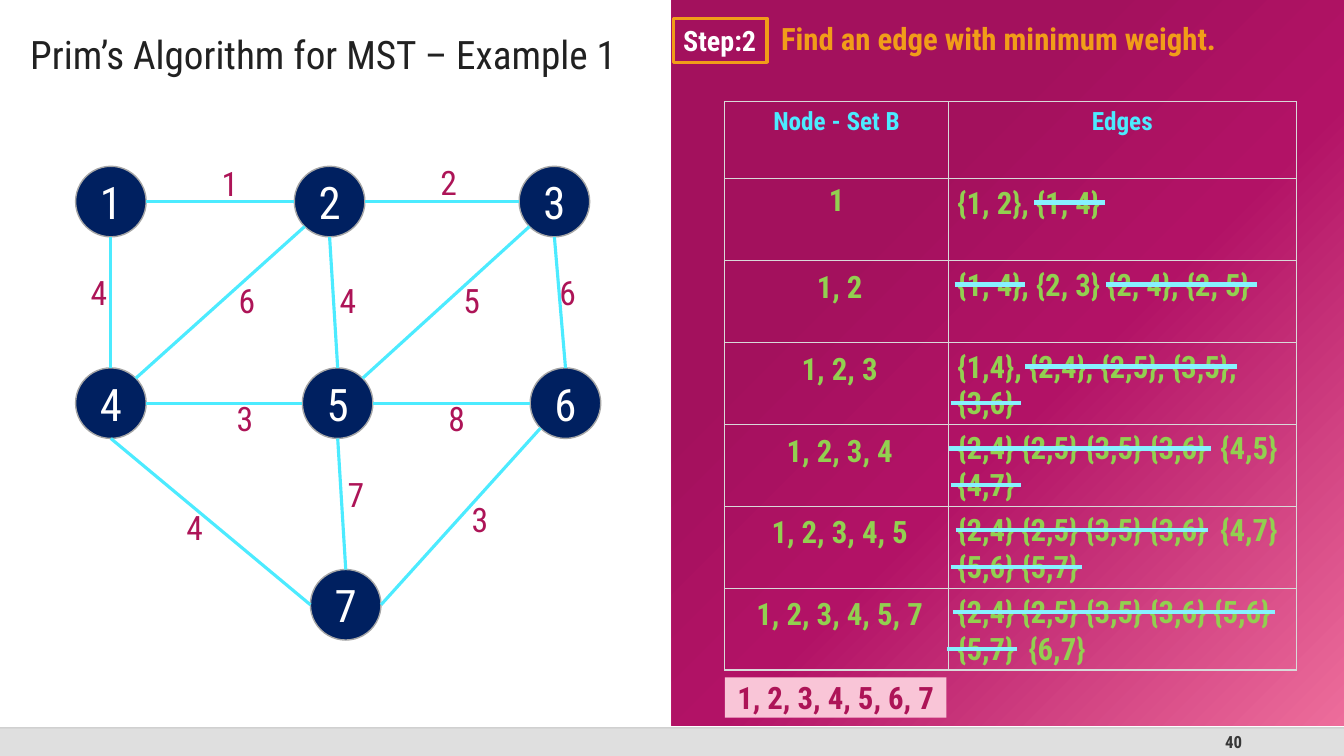
from dataclasses import dataclass
from math import cos, radians, sin

from lxml import etree
from pptx import Presentation
from pptx import util as u
from pptx.dml.color import RGBColor
from pptx.enum import shapes, text
from pptx.oxml import parse_xml
from pptx.oxml.ns import qn

# Slide grid: columns and rows of equal size
COLS, ROWS = 133.33, 75
FONT = "Roboto Condensed"
NS = 'xmlns:a="http://schemas.openxmlformats.org/drawingml/2006/main"'
CYAN, GREEN, CRIMSON, ORANGE = "4CEBFF", "92D050", "AD1457", "F19D19"
LEFT, CENTER, RIGHT = text.PP_ALIGN.LEFT, text.PP_ALIGN.CENTER, text.PP_ALIGN.RIGHT
TOP, MIDDLE = text.MSO_ANCHOR.TOP, text.MSO_ANCHOR.MIDDLE
RECT = shapes.MSO_SHAPE.RECTANGLE

prs = Presentation()
prs.slide_width, prs.slide_height = u.Inches(13.33), u.Inches(7.5)
slide = prs.slides.add_slide(prs.slide_layouts[6])


@dataclass
class Node:
    col: float
    row: float


@dataclass
class Edge:
    start: int
    start_angle: float
    end: int
    end_angle: float
    weight: int
    label_col: float
    label_row: float


@dataclass
class Strike:
    line: int
    col: float
    length: float


@dataclass
class Step:
    nodes: str
    edges: str
    strikes: list[Strike]
    width: float = 34


def col(n: float) -> int:
    return int(prs.slide_width * n / COLS)


def row(n: float) -> int:
    return int(prs.slide_height * n / ROWS)


def color(hex_value: str) -> RGBColor:
    return RGBColor.from_string(hex_value)


def write(tf, words: str, *, size: float, rgb: str, bold: bool = False,
          align=LEFT, anchor=TOP, wrap: bool = True, grow: bool = False,
          spacing: float | None = None) -> None:
    tf.word_wrap = wrap
    tf.vertical_anchor = anchor
    if grow:
        tf.auto_size = text.MSO_AUTO_SIZE.SHAPE_TO_FIT_TEXT
    p = tf.paragraphs[0]
    p.alignment, p.line_spacing = align, spacing
    r = p.add_run()
    r.text = words
    r.font.name, r.font.size, r.font.bold = FONT, u.Pt(size), bold
    r.font.color.rgb = color(rgb)


def add_text(x: float, y: float, w: float, h: float, words: str, **fmt):
    sp = slide.shapes.add_textbox(col(x), row(y), col(w), row(h))
    write(sp.text_frame, words, **fmt)
    return sp


def add_box(kind, x: float, y: float, w: float, h: float, fill: str | None = None,
            line: str | None = None, weight: float = 1):
    sp = slide.shapes.add_shape(kind, col(x), row(y), col(w), row(h))
    sp.shadow.inherit = False
    if fill:
        sp.fill.solid()
        sp.fill.fore_color.rgb = color(fill)
    else:
        sp.fill.background()
    if line:
        sp.line.color.rgb = color(line)
        sp.line.width = u.Pt(weight)
    else:
        sp.line.fill.background()
    return sp


def add_line(x1: float, y1: float, x2: float, y2: float, rgb: str, weight: float):
    ln = slide.shapes.add_connector(shapes.MSO_CONNECTOR.STRAIGHT,
                                    col(x1), row(y1), col(x2), row(y2))
    ln.line.color.rgb = color(rgb)
    ln.line.width = u.Pt(weight)
    etree.SubElement(ln._element.spPr, qn("a:effectLst"))
    return ln


def add_borders(cell, rgb: str, weight: float) -> None:
    tc_pr = cell._tc.get_or_add_tcPr()
    for i, side in enumerate(("lnL", "lnR", "lnT", "lnB")):
        tc_pr.insert(i, parse_xml(
            f'<a:{side} {NS} w="{u.Pt(weight)}"><a:solidFill><a:srgbClr val="{rgb}"/>'
            f'</a:solidFill></a:{side}>'))


# Footer bar
bar = add_box(shapes.MSO_SHAPE.ROUNDED_RECTANGLE, 0, 72.2, COLS, 2.8, "DFDFDF")
bar.adjustments[0] = 0
add_text(94.2, 72.2, 30, 2.8, "40", size=12, rgb="373737", bold=True,
         align=RIGHT, anchor=MIDDLE)
rule = add_line(0, 72.2, COLS, 72.2, "BFBFBF", 1)
rule_color = rule._element.spPr.find(".//" + qn("a:srgbClr"))
etree.SubElement(rule_color, qn("a:alpha")).set("val", "70000")

# Right panel with radial gradient
panel = add_box(RECT, COLS / 2, 0, COLS / 2, 72)
stops = "".join(f'<a:gs pos="{pos}000"><a:srgbClr val="{rgb}"/></a:gs>'
                for pos, rgb in ((30, "A3115D"), (55, "B21266"), (100, "ED6D9B")))
sp_pr = panel._element.spPr
sp_pr.replace(sp_pr.find(qn("a:noFill")), parse_xml(
    f'<a:gradFill {NS} rotWithShape="1"><a:gsLst>{stops}</a:gsLst><a:path path="circle">'
    '<a:fillToRect r="100000" b="100000"/></a:path></a:gradFill>'))

# Titles
title = add_text(0, 0.1, 68, 8.1, "Prim’s Algorithm for MST – Example 1", size=28,
                 rgb="212121", anchor=MIDDLE, spacing=1.5)
title.text_frame.margin_left = col(3)
step_box = add_box(RECT, 66.8, 1.8, 9.3, 4.4, line=ORANGE, weight=2.25)
write(step_box.text_frame, "Step:2", size=20, rgb="FFFFFF", bold=True, wrap=False,
      grow=True)
add_text(76.5, 1.5, 56, 4.7, "Find an edge with minimum weight.", size=22, rgb=ORANGE,
         bold=True, align=text.PP_ALIGN.JUSTIFY, grow=True)

# Graph: node centres, and edges leaving nodes at clockwise angles from the right
RADIUS = 3.5
E, SE, S, SW, W, N, NE = 0, 45, 90, 135, 180, 270, 315
NODES = {1: Node(11, 20), 2: Node(32.7, 20), 3: Node(55, 20), 4: Node(11, 40),
         5: Node(33.5, 40), 6: Node(56.1, 40), 7: Node(34.3, 60)}
EDGES = [
    Edge(1, E, 2, W, 1, 21, 15.7), Edge(2, E, 3, W, 2, 42.7, 15.6),
    Edge(4, E, 5, W, 3, 22.5, 39), Edge(5, E, 6, W, 8, 43.5, 39),
    Edge(1, S, 4, N, 4, 8, 26.5), Edge(2, S, 5, N, 4, 32.7, 27.3),
    Edge(3, S, 6, N, 6, 54.5, 26.5), Edge(4, NE, 2, SW, 6, 22.7, 27.3),
    Edge(5, NE, 3, SW, 5, 45, 27.3), Edge(6, SW, 7, E, 3, 45.8, 49),
    Edge(4, S, 7, W, 4, 17.5, 49.8), Edge(5, S, 7, N, 7, 33.5, 46.5),
]


def rim(number: int, angle: float) -> tuple[float, float]:
    node, a = NODES[number], radians(angle)
    return node.col + RADIUS * cos(a), node.row + RADIUS * sin(a)


for number, node in NODES.items():
    sp = add_box(shapes.MSO_SHAPE.OVAL, node.col - RADIUS, node.row - RADIUS,
                 2 * RADIUS, 2 * RADIUS, "002060", "A6A6A6")
    write(sp.text_frame, str(number), size=32, rgb="FFFFFF", align=CENTER, anchor=MIDDLE)
for e in EDGES:
    add_line(*rim(e.start, e.start_angle), *rim(e.end, e.end_angle), CYAN, 2.25)
    add_text(e.label_col, e.label_row, 4, 5, str(e.weight), size=24, rgb=CRIMSON, grow=True)

# Table grid
HEAD, PITCH, TABLE_TOP = 7.6, 8.13, 10.1
STEPS = [
    Step("1", "{1, 2}, {1, 4}", [Strike(0, 102.6, 7)], 17),
    Step("1, 2", "{1, 4}, {2, 3} {2, 4}, {2, 5}",
         [Strike(0, 94.7, 7), Strike(0, 109.7, 15)]),
    Step("1, 2, 3", "{1,4}, {2,4}, {2,5}, {3,5}, {3,6}",
         [Strike(0, 101.7, 21), Strike(1, 94.3, 7)]),
    Step("1, 2, 3, 4", "{2,4} {2,5} {3,5} {3,6}  {4,5} {4,7}",
         [Strike(0, 94.1, 26), Strike(1, 94.3, 7)]),
    Step("1, 2, 3, 4, 5", "{2,4} {2,5} {3,5} {3,6}  {4,7} {5,6} {5,7}",
         [Strike(0, 94.8, 25), Strike(1, 94.3, 13)]),
    Step("1, 2, 3, 4, 5, 7", "{2,4} {2,5} {3,5} {3,6} {5,6} {5,7}  {6,7}",
         [Strike(0, 94.5, 32), Strike(1, 93.9, 7)]),
]
table = slide.shapes.add_table(len(STEPS) + 1, 2, col(71.9), row(TABLE_TOP), col(56.7),
                               row(HEAD + PITCH * len(STEPS))).table
table.first_row = table.horz_banding = False
for column, width in zip(table.columns, (22.2, 34.5)):
    column.width = col(width)
for i, table_row in enumerate(table.rows):
    table_row.height = row(PITCH if i else HEAD)
for cell in table.iter_cells():
    cell.fill.background()
    add_borders(cell, "D9D9D9", 1)
for i, heading in enumerate(("Node - Set B", "Edges")):
    write(table.cell(0, i).text_frame, heading, size=18, rgb=CYAN, bold=True, align=CENTER)
write(table.cell(1, 0).text_frame, STEPS[0].nodes, size=22, rgb=GREEN, bold=True,
      align=CENTER)

# Node sets, candidate edges and strikes over each table row
for i, step in enumerate(STEPS):
    top = TABLE_TOP + HEAD + PITCH * i
    if i:
        add_text(73.8, top + 0.2, 19, 4.7, step.nodes, size=22, rgb=GREEN, bold=True,
                 align=CENTER, grow=True)
    add_text(94, top, step.width, 8.4 if i > 1 else 4.7, step.edges, size=22, rgb=GREEN,
             bold=True, grow=True)
    for s in step.strikes:
        y = top + 2.4 + 3.6 * s.line
        add_line(s.col, y, s.col + s.length, y, "87F1FF", 3)

# Final node set
result = add_box(RECT, 71.9, 67.2, 22, 4, "F9C5D7")
write(result.text_frame, "1, 2, 3, 4, 5, 6, 7", size=22, rgb=CRIMSON, bold=True,
      align=CENTER, anchor=MIDDLE)

prs.save("out.pptx")
